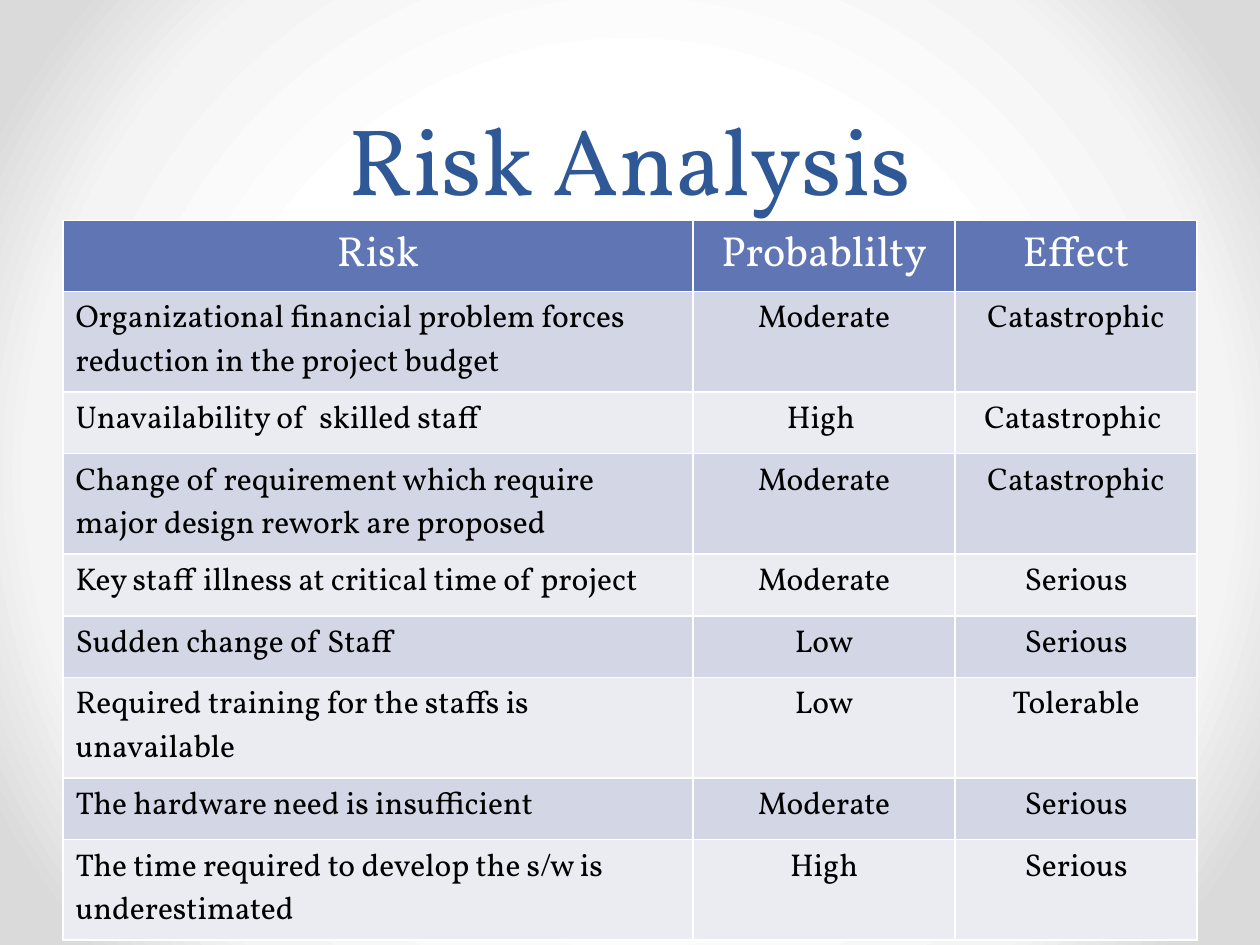
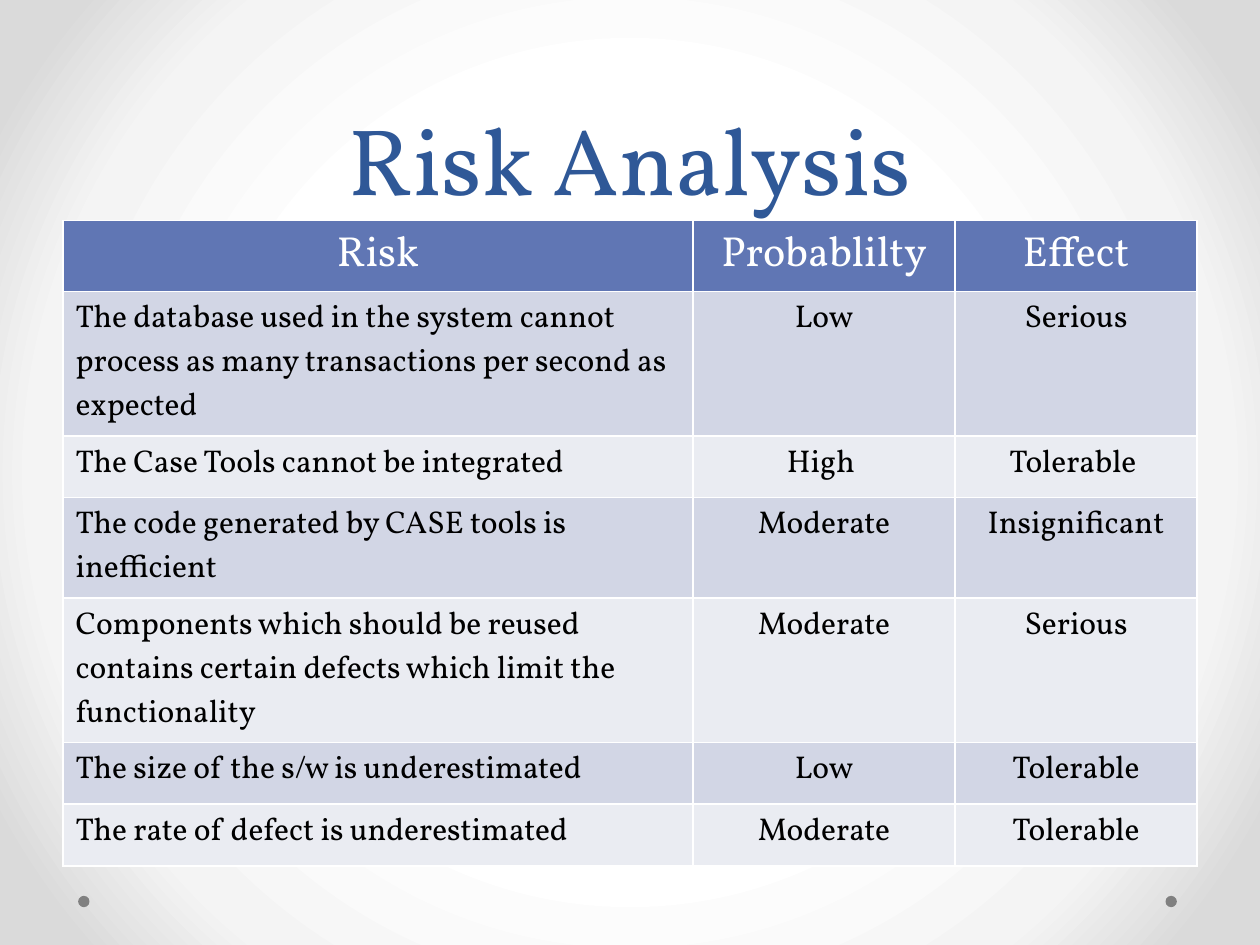
import dataclasses

import lxml.etree
import pptx
import pptx.dml.color
import pptx.enum.shapes
import pptx.enum.text
import pptx.oxml
import pptx.oxml.ns
import pptx.slide
import pptx.table
import pptx.text.text
import pptx.util

Inches = pptx.util.Inches
Pt = pptx.util.Pt
RGBColor = pptx.dml.color.RGBColor
PP_ALIGN = pptx.enum.text.PP_ALIGN

TITLE_BLUE = RGBColor(0x2F, 0x58, 0x97)
HEADER_BLUE = RGBColor(0x60, 0x76, 0xB4)
BAND_DARK = RGBColor(0xD2, 0xD6, 0xE5)
BAND_LIGHT = RGBColor(0xEA, 0xEC, 0xF2)
DOT_GREY = RGBColor(0x80, 0x80, 0x80)
SHADE_GREY = RGBColor(0xDA, 0xDA, 0xDA)
PALE_GREY = RGBColor(0xF4, 0xF4, 0xF4)
WHITE = RGBColor(0xFF, 0xFF, 0xFF)
BLACK = RGBColor(0, 0, 0)

FONT = "Vollkorn"
TITLE_FORMAT = {"name": FONT, "size": Pt(54), "bold": False}
HEADER_FORMAT = {"name": FONT, "size": Pt(24), "bold": False}
BODY_FORMAT = {"name": FONT, "size": Pt(18), "bold": False}
TITLE_BOX = {"left": Inches(0.5), "top": Inches(0), "width": Inches(9), "height": Inches(1.75)}

BACKGROUND_STOPS = ((50, WHITE), (76, PALE_GREY), (92, SHADE_GREY))
DOT_LEFTS = (9.25, 0.62)
COLUMN_WIDTHS = (5, 2.08, 1.92)
ROW_HEIGHT = 0.49
HEADINGS = ("Risk", "Probablilty", "Effect")


@dataclasses.dataclass(frozen=True)
class Risk:
    text: str
    probability: str
    effect: str


@dataclasses.dataclass(frozen=True)
class RiskSlide:
    title: str
    risks: tuple[Risk, ...]


SLIDES = (
    RiskSlide("Risk Analysis", (
        Risk("Organizational financial problem forces reduction in the project budget",
             "Moderate", "Catastrophic"),
        Risk("Unavailability of  skilled staff", "High ", "Catastrophic "),
        Risk("Change of requirement which require major design rework are proposed",
             "Moderate", "Catastrophic"),
        Risk("Key staff illness at critical time of project", "Moderate", "Serious"),
        Risk("Sudden change of Staff", "Low", "Serious"),
        Risk("Required training for the staffs is unavailable", "Low", "Tolerable"),
        Risk("The hardware need is insufficient", "Moderate", "Serious"),
        Risk("The time required to develop the s/w is underestimated", "High", "Serious"),
    )),
    RiskSlide("Risk Analysis", (
        Risk("The database used in the system cannot process as many transactions "
             "per second as expected", "Low", "Serious"),
        Risk("The Case Tools cannot be integrated", "High ", "Tolerable "),
        Risk("The code generated by CASE tools is inefficient", "Moderate", "Insignificant"),
        Risk("Components which should be reused contains certain defects which limit "
             "the functionality", "Moderate", "Serious"),
        Risk("The size of the s/w is underestimated", "Low", "Tolerable"),
        Risk("The rate of defect is underestimated", "Moderate", "Tolerable"),
    )),
)


def set_attributes(target: object, values: dict) -> None:
    for name, value in values.items():
        setattr(target, name, value)


def write_text(tf: pptx.text.text.TextFrame, text: str, values: dict,
               color: RGBColor, align: PP_ALIGN) -> None:
    p = tf.paragraphs[0]
    p.alignment = align
    r = p.add_run()
    r.text = text
    set_attributes(r.font, values)
    r.font.color.rgb = color


def set_background(layout: pptx.slide.SlideLayout) -> None:
    stops = "".join(
        f'<a:gs pos="{pos * 1000}"><a:srgbClr val="{color}"/></a:gs>'
        for pos, color in BACKGROUND_STOPS
    )
    bg = pptx.oxml.parse_xml(
        f'<p:bg {pptx.oxml.ns.nsdecls("p", "a")}><p:bgPr><a:gradFill><a:gsLst>{stops}</a:gsLst>'
        '<a:path path="circle"><a:fillToRect l="50000" t="50000" r="50000" b="50000"/></a:path>'
        "</a:gradFill><a:effectLst/></p:bgPr></p:bg>"
    )
    layout.element.cSld.insert(0, bg)


def move_dots_to_layout(slide: pptx.slide.Slide, layout: pptx.slide.SlideLayout) -> None:
    for number, left in enumerate(DOT_LEFTS, start=20):
        sp = slide.shapes.add_shape(
            pptx.enum.shapes.MSO_SHAPE.OVAL,
            Inches(left), Inches(7.11), Inches(0.09), Inches(0.09),
        )
        sp.shadow.inherit = False
        sp.fill.solid()
        sp.fill.fore_color.rgb = DOT_GREY
        sp.line.fill.background()
        sp.element.nvSpPr.cNvPr.set("id", str(number))
        layout.shapes.element.append(sp.element)


def add_title(slide: pptx.slide.Slide, text: str) -> None:
    sp = slide.shapes.title
    set_attributes(sp, TITLE_BOX)
    tf = sp.text_frame
    tf.vertical_anchor = pptx.enum.text.MSO_ANCHOR.BOTTOM
    write_text(tf, text, TITLE_FORMAT, TITLE_BLUE, PP_ALIGN.CENTER)
    tf.paragraphs[0].line_spacing = Pt(58)


def set_borders(cell: pptx.table._Cell) -> None:
    tc_pr = cell._tc.get_or_add_tcPr()
    for index, side in enumerate(("lnL", "lnR", "lnT", "lnB")):
        ln = pptx.oxml.parse_xml(
            f'<a:{side} {pptx.oxml.ns.nsdecls("a")} w="{Pt(1)}">'
            f'<a:solidFill><a:srgbClr val="{WHITE}"/></a:solidFill></a:{side}>'
        )
        tc_pr.insert(index, ln)


def add_risk_table(slide: pptx.slide.Slide, risks: tuple[Risk, ...]) -> None:
    rows = (HEADINGS, *map(dataclasses.astuple, risks))
    table = slide.shapes.add_table(
        len(rows), len(HEADINGS), Inches(0.5), Inches(1.75),
        Inches(sum(COLUMN_WIDTHS)), Inches(ROW_HEIGHT * len(rows)),
    ).table
    for column, width in zip(table.columns, COLUMN_WIDTHS):
        column.width = Inches(width)
    for i, row in enumerate(rows):
        table.rows[i].height = Inches(ROW_HEIGHT)
        if i == 0:
            fill, color, values = HEADER_BLUE, WHITE, HEADER_FORMAT
        else:
            fill, color, values = BAND_DARK if i % 2 else BAND_LIGHT, BLACK, BODY_FORMAT
        for j, text in enumerate(row):
            cell = table.cell(i, j)
            cell.fill.solid()
            cell.fill.fore_color.rgb = fill
            set_borders(cell)
            align = PP_ALIGN.LEFT if i and j == 0 else PP_ALIGN.CENTER
            write_text(cell.text_frame, text, values, color, align)


def main() -> None:
    prs = pptx.Presentation()
    prs.slide_width, prs.slide_height = Inches(10), Inches(7.5)
    layout = prs.slide_layouts.get_by_name("Title Only")
    set_background(layout)
    for content in SLIDES:
        slide = prs.slides.add_slide(layout)
        add_title(slide, content.title)
        add_risk_table(slide, content.risks)
    move_dots_to_layout(prs.slides[0], layout)
    prs.save("out.pptx")


if __name__ == "__main__":
    main()
